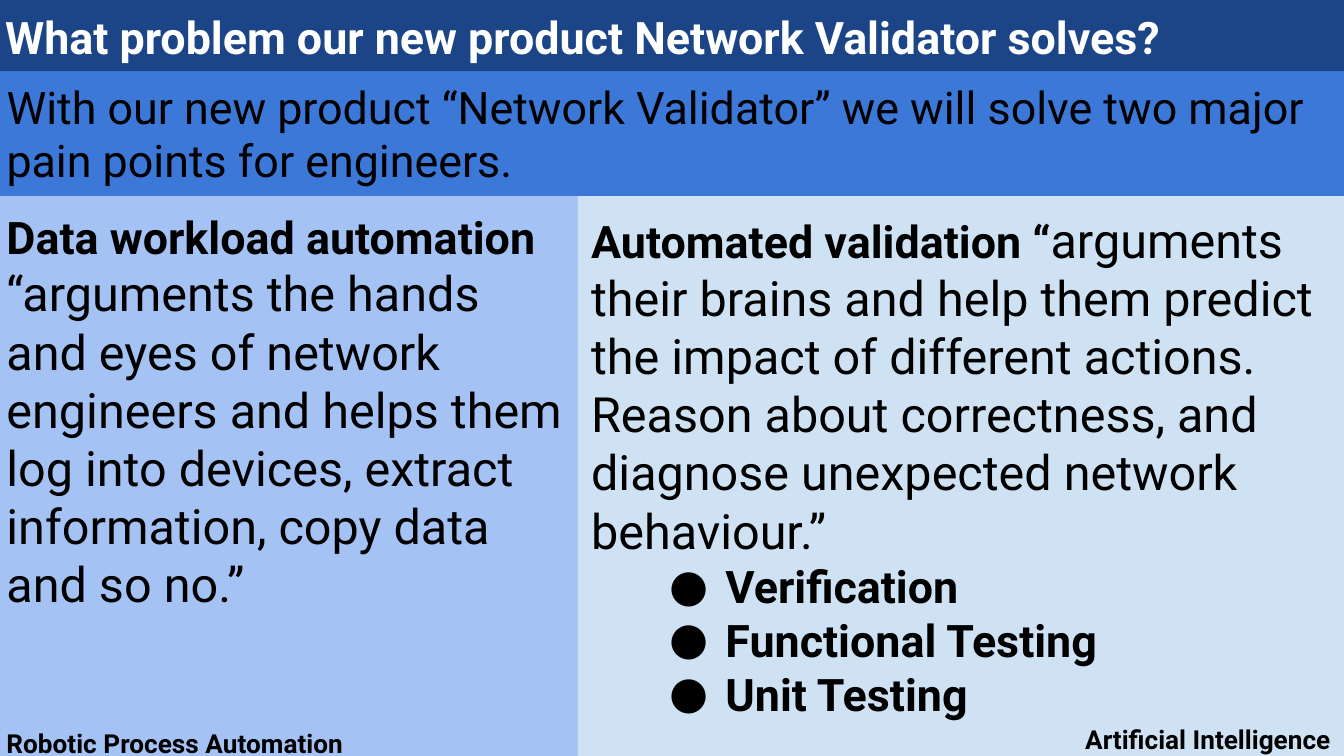
from lxml.etree import SubElement
from pptx import Presentation
from pptx.dml.color import RGBColor
from pptx.enum.shapes import MSO_SHAPE
from pptx.enum.text import MSO_ANCHOR, PP_ALIGN
from pptx.oxml.ns import qn
from pptx.util import Inches, Pt

THEME = {
    "font": "Roboto", "black": "000000", "white": "FFFFFF",
    "title": "1C4587", "intro": "3C78D8", "left": "A4C2F4", "right": "CFE2F3",
    "heading_size": 24, "body_size": 26, "label_size": 14,
}

# Content: each paragraph is a list of (text, style) spans
INTRO = ("With our new product “Network Validator” we will solve two major "
         "pain points for engineers.")
TITLE = "What problem our new product Network Validator solves?"
AUTOMATION = [
    [("Data workload automation", "heading")],
    [("“arguments the hands and eyes of network engineers and helps them log into "
      "devices, extract information, copy data and so no.”", "body")],
]
VALIDATION = [
    [("Automated validation “", "heading"),
     ("arguments their brains and help them predict the impact of different actions. "
      "Reason about correctness, and diagnose unexpected network behaviour.”", "body")],
]
CHECKS = ["Verification", "Functional Testing", "Unit Testing"]
STYLES = {  # size, bold
    "heading": (THEME["heading_size"], True),
    "intro": (THEME["heading_size"], False),
    "body": (THEME["body_size"], False),
    "label": (THEME["label_size"], True),
}

# Layout
LEFT, RIGHT, SPLIT = -0.05, 10, 4.3
PANEL_TOP, PANEL_HEIGHT = 1.46, 4.23


def add_bullet(para):
    properties = para._p.get_or_add_pPr()
    properties.set("marL", str(Inches(1)))
    properties.set("indent", str(Inches(-0.42)))
    color = SubElement(properties, qn("a:buClr"))
    SubElement(color, qn("a:srgbClr")).set("val", THEME["black"])
    SubElement(properties, qn("a:buFont")).set("typeface", THEME["font"])
    SubElement(properties, qn("a:buChar")).set("char", "●")


def add_paragraph(frame, spans, first=False, bullet=False, color="black",
                  align=PP_ALIGN.LEFT):
    para = frame.paragraphs[0] if first else frame.add_paragraph()
    para.alignment = align
    if bullet:
        add_bullet(para)
    for text, style in spans:
        span = para.add_run()
        span.text = text
        size, bold = STYLES[style]
        span.font.name = THEME["font"]
        span.font.size = Pt(size)
        span.font.bold = bold
        span.font.color.rgb = RGBColor.from_string(THEME[color])


def add_block(page, paragraphs, area, fill=None, bullets=(), **text_format):
    lengths = [Inches(value) for value in area]
    if fill:
        box = page.shapes.add_shape(MSO_SHAPE.RECTANGLE, *lengths)
        box.shadow.inherit = False
        box.fill.solid()
        box.fill.fore_color.rgb = RGBColor.from_string(THEME[fill])
        box.line.fill.background()
    else:
        box = page.shapes.add_textbox(*lengths)
    frame = box.text_frame
    frame.word_wrap = True
    frame.vertical_anchor = MSO_ANCHOR.TOP
    frame.margin_left = frame.margin_right = Inches(0.1)
    frame.margin_top = frame.margin_bottom = Inches(0.1)
    for index, spans in enumerate(paragraphs):
        add_paragraph(frame, spans, first=index == 0, **text_format)
    for text in bullets:
        add_paragraph(frame, [(text, "heading")], bullet=True, **text_format)


# Widescreen page, 16:9
deck = Presentation()
deck.slide_width = Inches(10)
deck.slide_height = Inches(10 * 9 / 16)
page = deck.slides.add_slide(deck.slide_layouts[6])

# Introduction and title bands
add_block(page, [[(INTRO, "intro")]], (LEFT, 0.49, RIGHT - LEFT, 0.97), fill="intro")
add_block(page, [[(TITLE, "heading")]], (-0.06, -0.03, 10.08, 0.56), fill="title",
          color="white")

# Two panels
add_block(page, AUTOMATION, (LEFT, PANEL_TOP, 4.4, PANEL_HEIGHT), fill="left")
add_block(page, VALIDATION, (SPLIT, PANEL_TOP, RIGHT - SPLIT, PANEL_HEIGHT),
          fill="right", bullets=CHECKS)

# Panel labels
add_block(page, [[("Robotic Process Automation", "label")]], (LEFT, 5.31, 4.3, 0.32))
add_block(page, [[("Artificial Intelligence", "label")]], (4.35, 5.28, 5.65, 0.32),
          align=PP_ALIGN.RIGHT)

deck.save("out.pptx")
